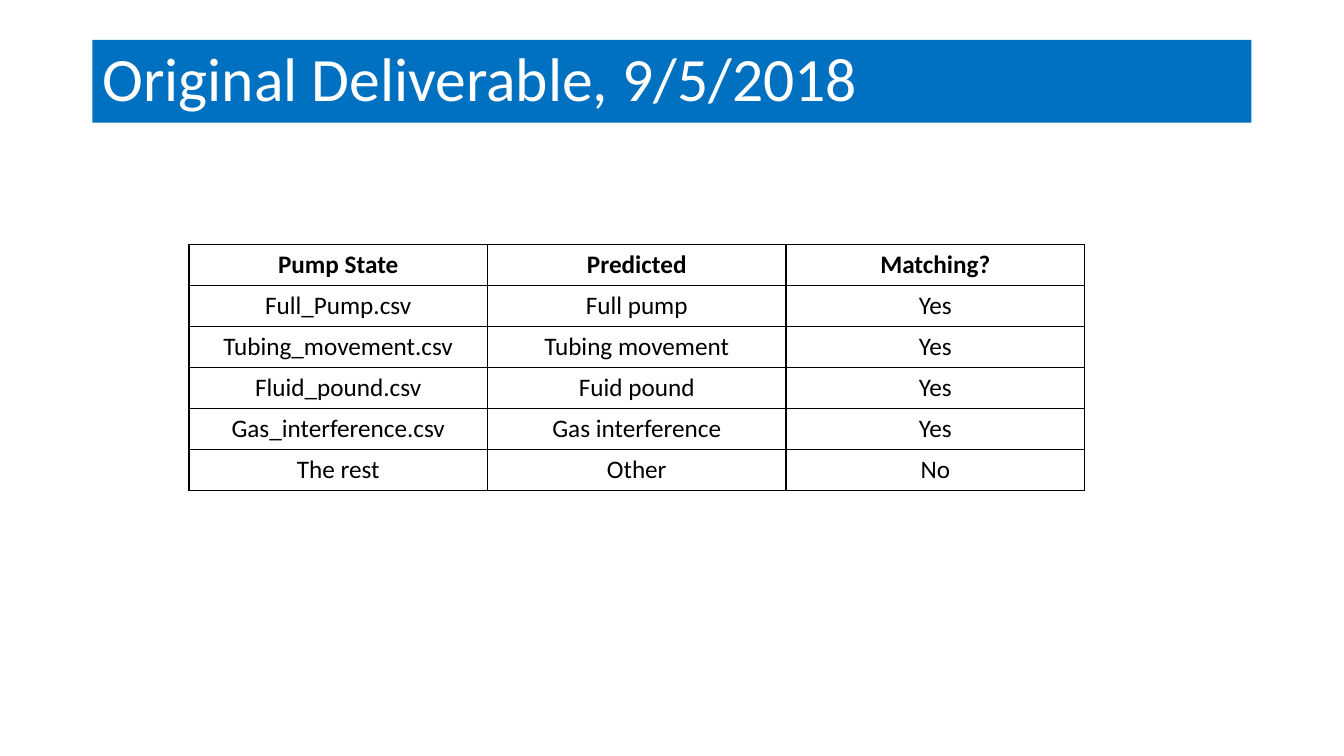
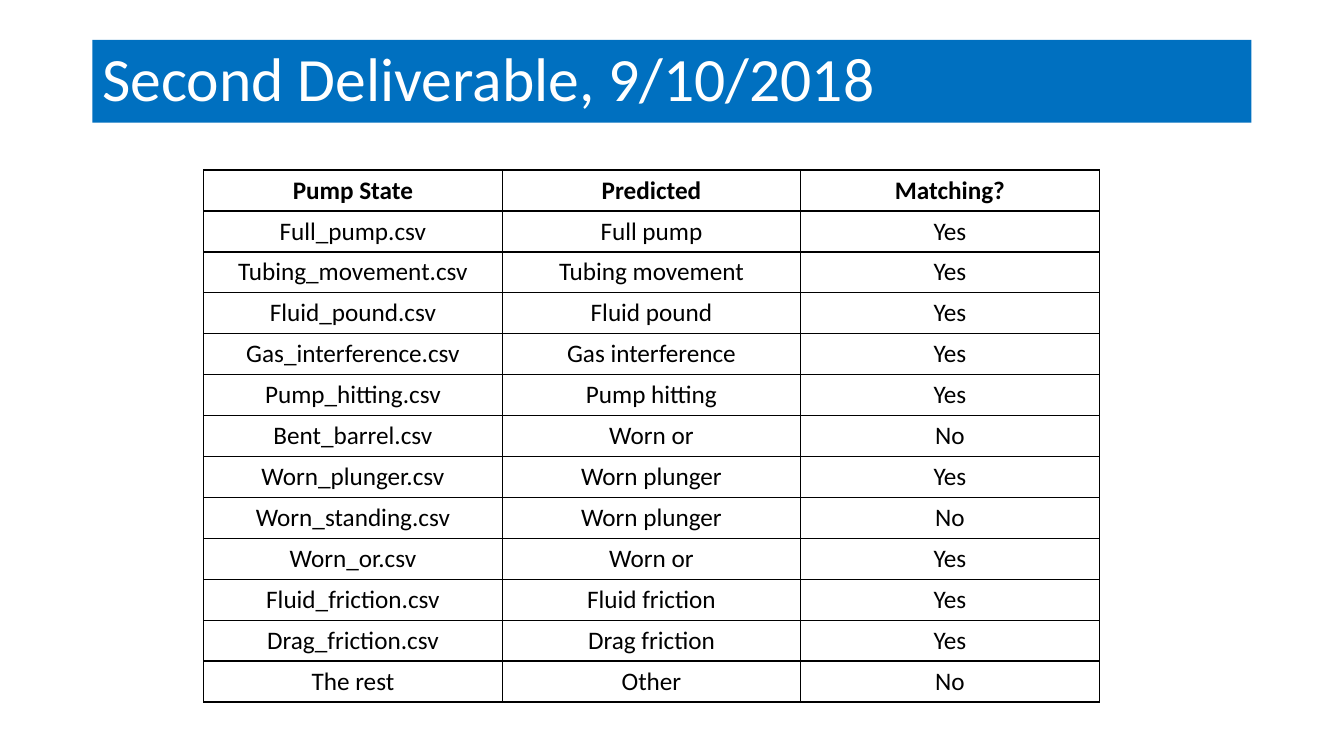
from dataclasses import dataclass

import pptx
import pptx.dml.color
import pptx.enum.shapes
import pptx.enum.text
import pptx.oxml
import pptx.oxml.ns
import pptx.util

PX = 9525  # EMU in one px, 96 px to the inch
BORDER = (
    '<a:{side} {ns} w="{width}" cap="flat" cmpd="sng" algn="ctr">'
    '<a:solidFill><a:srgbClr val="{color}"/></a:solidFill>'
    '<a:prstDash val="solid"/></a:{side}>'
)


@dataclass(frozen=True)
class Theme:
    font: str = "Calibri"
    band: str = "0070C0"
    title: str = "FFFFFF"
    ink: str = "000000"
    title_size: int = 44
    cell_size: int = 18
    border_width: int = 1


THEME = Theme()
TITLE_BOX = (88, 38, 1104, 79)
TABLE_WIDTH = 853
ROW_HEIGHT = 39
HEADER = ("Pump State", "Predicted", "Matching?")

ORIGINAL_RESULTS = [
    ("Full_Pump.csv", "Full pump", "Yes"),
    ("Tubing_movement.csv", "Tubing movement", "Yes"),
    ("Fluid_pound.csv", "Fuid pound", "Yes"),
    ("Gas_interference.csv", "Gas interference", "Yes"),
    ("The rest", "Other", "No"),
]
SECOND_RESULTS = [
    ("Full_pump.csv", "Full pump", "Yes"),
    ("Tubing_movement.csv", "Tubing movement", "Yes"),
    ("Fluid_pound.csv", "Fluid pound", "Yes"),
    ("Gas_interference.csv", "Gas interference", "Yes"),
    ("Pump_hitting.csv", "Pump hitting", "Yes"),
    ("Bent_barrel.csv", "Worn or", "No"),
    ("Worn_plunger.csv", "Worn plunger", "Yes"),
    ("Worn_standing.csv", "Worn plunger", "No"),
    ("Worn_or.csv", "Worn or", "Yes"),
    ("Fluid_friction.csv", "Fluid friction", "Yes"),
    ("Drag_friction.csv", "Drag friction", "Yes"),
    ("The rest", "Other", "No"),
]


def px(*lengths):
    return [pptx.util.Emu(n * PX) for n in lengths]


def rgb(color):
    return pptx.dml.color.RGBColor.from_string(color)


def write(tf, text, size, color, align, bold=False):
    """Put one formatted paragraph in the text frame and return it."""
    tf.text = text
    p = tf.paragraphs[0]
    p.alignment = align
    font = p.runs[0].font
    font.name = THEME.font
    font.size = pptx.util.Pt(size)
    font.color.rgb = rgb(color)
    font.bold = bold
    return p


def add_title(s, text):
    sp = s.shapes.add_shape(pptx.enum.shapes.MSO_SHAPE.RECTANGLE, *px(*TITLE_BOX))
    sp.shadow.inherit = False
    sp.fill.solid()
    sp.fill.fore_color.rgb = rgb(THEME.band)
    sp.line.fill.background()
    tf = sp.text_frame
    tf.word_wrap = True
    tf.vertical_anchor = pptx.enum.text.MSO_ANCHOR.MIDDLE
    p = write(tf, text, THEME.title_size, THEME.title, pptx.enum.text.PP_ALIGN.LEFT)
    p.line_spacing = 0.9


def add_borders(cell):
    tcPr = cell._tc.get_or_add_tcPr()
    for side in ("lnL", "lnR", "lnT", "lnB"):
        tcPr.append(pptx.oxml.parse_xml(BORDER.format(
            side=side,
            ns=pptx.oxml.ns.nsdecls("a"),
            width=pptx.util.Pt(THEME.border_width),
            color=THEME.ink,
        )))


def add_results_table(s, left, top, results):
    rows = [HEADER, *results]
    frame = s.shapes.add_table(
        len(rows), len(HEADER), *px(left, top, TABLE_WIDTH, ROW_HEIGHT * len(rows)))
    table = frame.table
    table.horz_banding = False
    for i, row in enumerate(rows):
        for j, text in enumerate(row):
            cell = table.cell(i, j)
            write(cell.text_frame, text, THEME.cell_size, THEME.ink,
                  pptx.enum.text.PP_ALIGN.CENTER, bold=i == 0)
            add_borders(cell)
            cell.fill.background()


def add_deliverable_slide(prs, title, left, top, results):
    s = prs.slides.add_slide(prs.slide_layouts[6])
    add_title(s, title)
    add_results_table(s, left, top, results)


def main():
    prs = pptx.Presentation()
    prs.slide_width, prs.slide_height = px(1280, 720)
    add_deliverable_slide(prs, "Original Deliverable, 9/5/2018", 180, 233, ORIGINAL_RESULTS)
    add_deliverable_slide(prs, "Second Deliverable, 9/10/2018", 194, 162, SECOND_RESULTS)
    prs.save("out.pptx")


if __name__ == "__main__":
    main()
